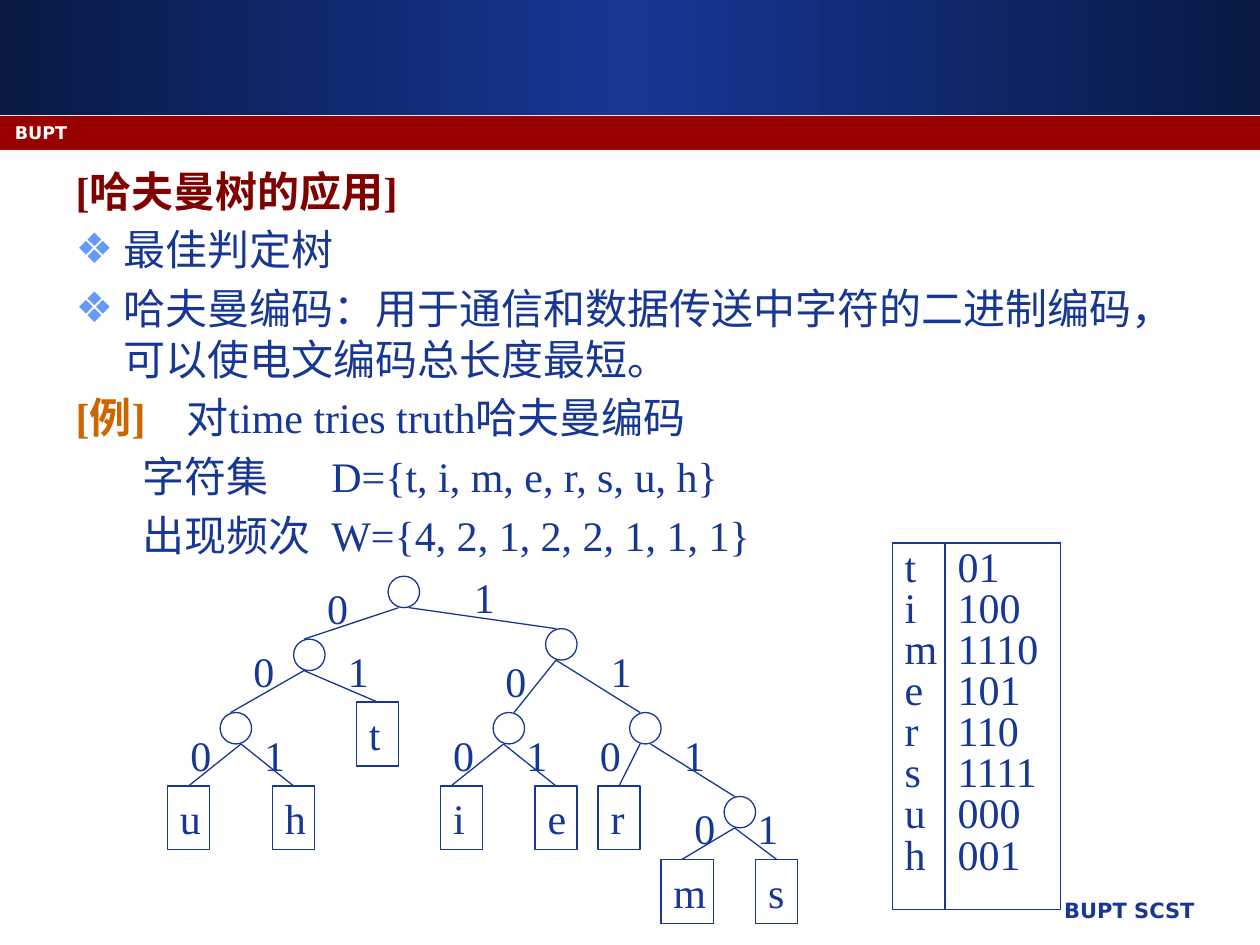
from copy import deepcopy

from lxml import etree
from pptx import Presentation
from pptx.dml.color import RGBColor
from pptx.enum.shapes import MSO_CONNECTOR, MSO_SHAPE
from pptx.enum.text import MSO_ANCHOR, PP_ALIGN
from pptx.oxml.ns import qn
from pptx.util import Inches, Pt

STRAIGHT = MSO_CONNECTOR.STRAIGHT
RECTANGLE, OVAL = MSO_SHAPE.RECTANGLE, MSO_SHAPE.OVAL
LEFT, RIGHT = PP_ALIGN.LEFT, PP_ALIGN.RIGHT
MIDDLE, TOP = MSO_ANCHOR.MIDDLE, MSO_ANCHOR.TOP
SERIF, SANS = "Times New Roman", "DejaVu Sans"
BLUE, RED, MAROON, ORANGE = "163794", "990000", "800000", "CC6600"
DARK_BLUE, BULLET_BLUE, WHITE = "0A1A44", "6699FF", "FFFFFF"
TREE_COLUMNS, TREE_ROWS = 60, 34

NODES = {
    "root": (21, 1), "left": (12, 7), "right": (36, 6), "uh": (5, 14),
    "ie": (31, 14), "rms": (44, 14), "ms": (53, 22),
}
LEAVES = {
    "u": (0, 21, 4), "h": (10, 21, 4), "t": (18, 13, 4), "i": (26, 21, 4),
    "e": (35, 21, 4), "r": (41, 21, 4), "m": (47, 28, 5), "s": (56, 28, 4),
}
# parent, child, start column, end column, bit, label column, label row
EDGES = [
    ("root", "left", 22, 13, "0", 14, 1), ("root", "right", 23, 37, "1", 28, 0),
    ("left", "uh", 13, 6, "0", 7, 7), ("left", "t", 13, 20, "1", 16, 7),
    ("uh", "u", 7, 2, "0", 1, 15), ("uh", "h", 7, 12, "1", 8, 15),
    ("right", "ie", 37, 33, "0", 31, 8), ("right", "rms", 37, 45, "1", 41, 7),
    ("ie", "i", 32, 27, "0", 26, 15), ("ie", "e", 32, 37, "1", 33, 15),
    ("rms", "r", 45, 43, "0", 40, 15), ("rms", "ms", 46, 54, "1", 48, 15),
    ("ms", "m", 54, 49, "0", 49, 22), ("ms", "s", 54, 58, "1", 55, 22),
]
CODES = {
    "t": "01", "i": "100", "m": "1110", "e": "101",
    "r": "110", "s": "1111", "u": "000", "h": "001",
}
BODY = [
    ("plain", [("[哈夫曼树的应用]", MAROON, True)]),
    ("bullet", [("最佳判定树", BLUE, False)]),
    ("bullet", [("哈夫曼编码：用于通信和数据传送中字符的二进制编码，可以使电文编码总长度最短。", BLUE, False)]),
    ("example", [("[例]", ORANGE, True), ("\t对time tries truth哈夫曼编码", BLUE, False)]),
    ("detail", [("字符集\tD={t, i, m, e, r, s, u, h}", BLUE, False)]),
    ("detail", [("出现频次\tW={4, 2, 1, 2, 2, 1, 1, 1}", BLUE, False)]),
]
LAYOUT = {
    "plain": (0.38, -0.38, None), "bullet": (0.38, -0.38, None),
    "example": (0.38, -0.38, 0.96), "detail": (0.53, 0, 2.03),
}


def color(value):
    return RGBColor.from_string(value)


def style(font, size, name, value, bold=False):
    font.size, font.name, font.bold = Pt(size), name, bold
    font.color.rgb = color(value)


def write(shape, text, size=24, name=SERIF, value=BLUE, bold=False, align=LEFT, anchor=TOP):
    frame = shape.text_frame
    frame.word_wrap, frame.vertical_anchor = True, anchor
    paragraph = frame.paragraphs[0]
    paragraph.text, paragraph.alignment = text, align
    style(paragraph.font, size, name, value, bold)


def add_bar(slide, box):
    bar = slide.shapes.add_shape(RECTANGLE, *box)
    bar.shadow.inherit = False
    bar.line.fill.background()
    return bar


def add_frame(slide, width, height):
    banner = add_bar(slide, (0, 0, width, Inches(0.91)))
    banner.fill.gradient()
    banner.fill.gradient_angle = 0
    stops = banner._element.spPr.find(qn("a:gradFill")).find(qn("a:gsLst"))
    stops.insert(1, deepcopy(stops[0]))
    for stop, position, value in zip(
        banner.fill.gradient_stops, (0, 0.5, 1), (DARK_BLUE, BLUE, DARK_BLUE)
    ):
        stop.position, stop.color.rgb = position, color(value)
    strip = add_bar(slide, (0, Inches(0.92), width, Inches(0.27)))
    strip.fill.solid()
    strip.fill.fore_color.rgb = color(RED)
    footer = slide.shapes.add_textbox(Inches(4.21), Inches(7.07), Inches(5.37), Inches(0.35))
    write(footer, "BUPT SCST", 12, SANS, BLUE, True, RIGHT)
    header = slide.shapes.add_textbox(Inches(0.02), Inches(0.92), Inches(9.25), Inches(0.25))
    write(header, "BUPT", 10, SANS, WHITE, True)


def format_paragraph(paragraph, kind):
    margin, indent, tab = LAYOUT[kind]
    properties = paragraph._p.get_or_add_pPr()
    properties.set("marL", str(Inches(margin)))
    properties.set("indent", str(Inches(indent)))
    if kind == "bullet":
        bullet_color = etree.SubElement(properties, qn("a:buClr"))
        etree.SubElement(bullet_color, qn("a:srgbClr"), val=BULLET_BLUE)
        etree.SubElement(properties, qn("a:buChar"), char="❖")
    else:
        etree.SubElement(properties, qn("a:buNone"))
    if tab:
        tabs = etree.SubElement(properties, qn("a:tabLst"))
        etree.SubElement(tabs, qn("a:tab"), pos=str(Inches(tab)), algn="l")


def fill_body(placeholder, box):
    placeholder.left, placeholder.top, placeholder.width, placeholder.height = box
    frame = placeholder.text_frame
    for index, (kind, runs) in enumerate(BODY):
        paragraph = frame.add_paragraph() if index else frame.paragraphs[0]
        format_paragraph(paragraph, kind)
        paragraph.space_before = Pt(4.8 if index else 0)
        for text, value, bold in runs:
            run = paragraph.add_run()
            run.text = text
            style(run.font, 24, SERIF, value, bold)


def add_tree(slide, box):
    left, top, width, height = box

    def place(column, row):
        return left + int(width * column / TREE_COLUMNS), top + int(height * row / TREE_ROWS)

    def add_node(kind, column, row, columns, rows):
        size = int(width * columns / TREE_COLUMNS), int(height * rows / TREE_ROWS)
        node = slide.shapes.add_shape(kind, *place(column, row), *size)
        node.shadow.inherit = False
        node.fill.background()
        node.line.color.rgb, node.line.width = color(BLUE), Pt(0.75)
        return node

    for column, row in NODES.values():
        add_node(OVAL, column, row, 3, 3)
    leaves = {}
    for letter, (column, row, columns) in LEAVES.items():
        leaves[letter] = add_node(RECTANGLE, column, row, columns, 6.1)
        write(leaves[letter], letter, anchor=MIDDLE)
    for parent, child, start, end, bit, column, row in EDGES:
        child_row = (LEAVES.get(child) or NODES[child])[1]
        edge = slide.shapes.add_connector(
            STRAIGHT, *place(start, NODES[parent][1] + 3), *place(end, child_row)
        )
        edge.line.color.rgb, edge.line.width = color(BLUE), Pt(0.75)
        etree.SubElement(edge._element.spPr, qn("a:effectLst"))
        if child in LEAVES and end == LEAVES[child][0] + LEAVES[child][2] / 2:
            edge.end_connect(leaves[child], 0)
        label = slide.shapes.add_textbox(*place(column, row), Inches(0.42), Inches(0.5))
        write(label, bit)


def set_borders(cell, visible):
    properties = cell._tc.get_or_add_tcPr()
    for position, side in enumerate(("lnL", "lnR", "lnT", "lnB")):
        border = etree.Element(qn(f"a:{side}"), w=str(Pt(0.75)))
        if side in visible:
            fill = etree.SubElement(border, qn("a:solidFill"))
            etree.SubElement(fill, qn("a:srgbClr"), val=BLUE)
        else:
            etree.SubElement(border, qn("a:noFill"))
        properties.insert(position, border)


def add_code_table(slide, box):
    width, height = box[2:]
    table = slide.shapes.add_table(len(CODES), 2, *box).table
    table.first_row = table.horz_banding = False
    table.columns[0].width = Inches(0.42)
    table.columns[1].width = width - Inches(0.42)
    pitch, last = Inches(0.326), len(CODES) - 1
    padding = Inches(0.06)
    for index, pair in enumerate(CODES.items()):
        row = table.rows[index]
        row.height = pitch + (padding if index == 0 else 0)
        if index == last:
            row.height = height - pitch * last - padding
        for cell, text in zip(row.cells, pair):
            cell.fill.background()
            cell.margin_left, cell.margin_right = Inches(0.1), 0
            cell.margin_top, cell.margin_bottom = padding if index == 0 else 0, 0
            write(cell, text)
            cell.text_frame.paragraphs[0].line_spacing = Pt(23.4)
            edges = {0: ["lnT"], last: ["lnB"]}.get(index, [])
            set_borders(cell, ["lnL", "lnR", *edges])


def main():
    presentation = Presentation()
    presentation.slide_width, presentation.slide_height = Inches(10), Inches(7.5)
    slide = presentation.slides.add_slide(presentation.slide_layouts[1])
    title = slide.shapes.title._element
    title.getparent().remove(title)
    add_frame(slide, presentation.slide_width, presentation.slide_height)
    fill_body(slide.placeholders[1], (Inches(0.5), Inches(1.26), Inches(9), Inches(5.74)))
    add_tree(slide, (Inches(1.33), Inches(4.49), Inches(5), Inches(2.83)))
    add_code_table(slide, (Inches(7.08), Inches(4.31), Inches(1.34), Inches(2.91)))
    presentation.save("out.pptx")


if __name__ == "__main__":
    main()
